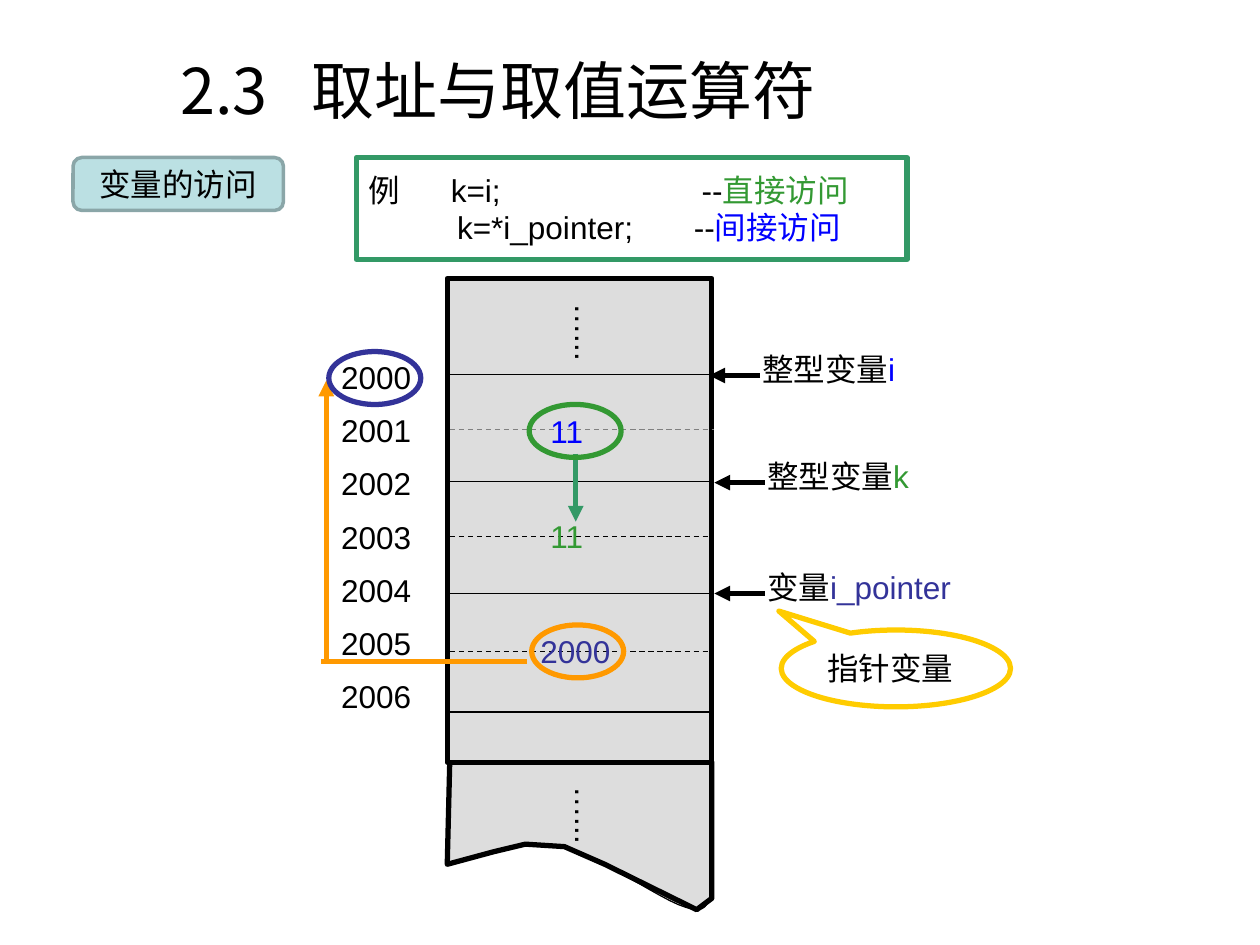
"""Builds a slide on direct and indirect access to variables in memory."""
from dataclasses import dataclass

from lxml.etree import SubElement
from pptx import Presentation
from pptx.dml.color import RGBColor
from pptx.enum.dml import MSO_LINE as Dash
from pptx.enum.shapes import MSO_CONNECTOR as Link, MSO_SHAPE as Kind
from pptx.enum.text import MSO_ANCHOR as Anchor, PP_ALIGN as Align
from pptx.oxml.ns import qn
from pptx.util import Inches, Pt


@dataclass(frozen=True)
class Theme:
    black: str = "000000"
    gray: str = "808080"
    cell: str = "DDDDDD"
    white: str = "FFFFFF"
    blue: str = "0000FF"
    navy: str = "333399"
    green: str = "339933"
    teal: str = "339966"
    orange: str = "FF9900"
    yellow: str = "FFCC00"
    pale: str = "BBE0E3"
    edge: str = "8AA6A8"
    latin: str = "Arial"
    asian: str = "Noto Sans CJK SC"
    head: float = 36
    body: float = 18
    thick: float = 3
    thin: float = 0.75


T = Theme()


@dataclass(frozen=True)
class Run:
    text: str
    color: str = T.black


@dataclass(frozen=True)
class Label:
    x: float
    y: float
    w: float
    h: float
    runs: tuple[Run, ...]
    turn: bool = False


@dataclass(frozen=True)
class Line:
    x1: float
    y1: float
    x2: float
    y2: float
    color: str = T.black
    width: float = T.thin
    dash: bool = False
    arrow: bool = False


@dataclass(frozen=True)
class Form:
    kind: Kind
    x: float
    y: float
    w: float
    h: float
    line: str
    fill: str = ""
    width: float = T.thick


def style(run, color: str, size: float = T.body, face: str = T.latin) -> None:
    font = run.font
    font.name, font.size = face, Pt(size)
    font.color.rgb = RGBColor.from_string(color)
    SubElement(run._r.get_or_add_rPr(), qn("a:ea")).set("typeface", T.asian)


def write(para, runs: tuple[Run, ...], align: Align = Align.LEFT) -> None:
    para.alignment = align
    for item in runs:
        run = para.add_run()
        run.text = item.text
        style(run, item.color)


def set_tabs(para, stops: tuple[float, ...]) -> None:
    tabs = SubElement(para._p.get_or_add_pPr(), qn("a:tabLst"))
    for stop in stops:
        tab = SubElement(tabs, qn("a:tab"))
        tab.set("pos", str(Inches(stop)))
        tab.set("algn", "l")


def paint(shape, line: str, fill: str = "", width: float = T.thick) -> None:
    shape.shadow.inherit = False
    shape.line.color.rgb = RGBColor.from_string(line)
    shape.line.width = Pt(width)
    if fill:
        shape.fill.solid()
        shape.fill.fore_color.rgb = RGBColor.from_string(fill)
    else:
        shape.fill.background()


def add_form(form: Form):
    shape = slide.shapes.add_shape(
        form.kind, *map(Inches, (form.x, form.y, form.w, form.h)))
    paint(shape, form.line, form.fill, form.width)
    shape.text_frame.vertical_anchor = Anchor.MIDDLE
    shape.text_frame.word_wrap = False
    return shape


def add_label(label: Label) -> None:
    box = slide.shapes.add_textbox(
        *map(Inches, (label.x, label.y, label.w, label.h)))
    frame = box.text_frame
    frame.word_wrap = False
    frame.vertical_anchor = Anchor.MIDDLE
    if label.turn:
        frame._txBody.bodyPr.set("vert", "eaVert")
    write(frame.paragraphs[0], label.runs)


def add_line(line: Line) -> None:
    link = slide.shapes.add_connector(
        Link.STRAIGHT, *map(Inches, (line.x1, line.y1, line.x2, line.y2)))
    link.line.color.rgb = RGBColor.from_string(line.color)
    link.line.width = Pt(line.width)
    if line.dash:
        link.line.dash_style = Dash.DASH
    if line.arrow:
        SubElement(link.line._get_or_add_ln(), qn("a:tailEnd")).set("type", "triangle")
    SubElement(link._element.spPr, qn("a:effectLst"))


def add_path(points: list, closed: bool, fill: str, width: float) -> None:
    first, *rest = [(Inches(x), Inches(y)) for x, y in points]
    path = slide.shapes.build_freeform(*first)
    path.add_line_segments(rest, close=closed)
    paint(path.convert_to_shape(), T.black, fill, width)


def curve(a, b, c, d, steps: int = 12) -> list:
    return [tuple((1 - t) ** 3 * p + 3 * t * (1 - t) ** 2 * q
                  + 3 * t * t * (1 - t) * r + t ** 3 * s
                  for p, q, r, s in zip(a, b, c, d))
            for t in (i / steps for i in range(1, steps + 1))]


deck = Presentation()
deck.slide_width, deck.slide_height = Inches(10), Inches(7.5)
slide = deck.slides.add_slide(deck.slide_layouts[5])

title = slide.shapes.title
title.left, title.top, title.width, title.height = map(Inches, (1.33, 0.25, 8.17, 0.92))
title.text_frame.text = "2.3\t取址与取值运算符"
title.text_frame.vertical_anchor = Anchor.MIDDLE
head = title.text_frame.paragraphs[0]
head.alignment = Align.LEFT
set_tabs(head, (1.04,))
style(head.runs[0], T.black, T.head, T.asian)

note = add_form(Form(Kind.OVAL_CALLOUT, 6.2, 5, 1.82, 0.61, T.yellow))
note.adjustments[0], note.adjustments[1] = -0.51, -0.746
write(note.text_frame.paragraphs[0], (Run("指针变量"),))

wave = [(3.55, 6.87), *curve((3.55, 6.87), (3.82, 6.76), (4.1, 6.65), (4.41, 6.71)),
        *curve((4.41, 6.71), (4.73, 6.76), (5.23, 7.14), (5.44, 7.2)),
        *curve((5.44, 7.2), (5.64, 7.27), (5.61, 7.12), (5.65, 7.1))]
add_path(wave, False, "", T.thin)
torn = [(3.57, 6.05), (5.65, 6.05), (5.65, 7.13), (5.53, 7.22), (4.8, 6.86),
        (4.48, 6.72), (4.17, 6.7), (3.92, 6.76), (3.55, 6.86)]
add_path(torn, True, T.cell, T.thick)
add_form(Form(Kind.RECTANGLE, 3.55, 2.21, 2.1, 3.84, T.black, T.cell))

for y, color, dash in ((2.97, T.black, False), (3.41, T.gray, True),
                       (3.82, T.black, False), (4.26, T.black, True),
                       (4.71, T.black, False), (5.17, T.black, True),
                       (5.65, T.black, False)):
    add_line(Line(3.57, y, 5.67, y, color, dash=dash))
for x, end in ((3.55, 6.86), (5.65, 7.11)):
    add_line(Line(x, 6.07, x, end))
for y in (2.31, 6.14):
    add_label(Label(4.4, y, 0.53, 0.59, (Run("…..."),), True))
for row in range(7):
    add_label(Label(2.61, round(2.78 + 0.4217 * row, 2), 0.76, 0.43,
                    (Run(str(2000 + row)),)))

for x, y, w, word, name, color in ((5.95, 2.71, 1.39, "整型变量", "i", T.blue),
                                   (5.99, 3.56, 1.45, "整型变量", "k", T.green),
                                   (5.99, 4.44, 1.76, "变量", "i_pointer", T.navy)):
    add_line(Line(x + 0.08, y + 0.27, x - 0.32, y + 0.27, width=T.thick, arrow=True))
    add_label(Label(x, y, w, 0.43, (Run(word), Run(name, color))))

for x, y, w, h, text, color in ((4.27, 3.22, 0.48, 0.4, "11", T.blue),
                                (4.27, 4.05, 0.48, 0.4, "11", T.green),
                                (4.19, 4.95, 0.76, 0.43, "2000", T.navy)):
    add_label(Label(x, y, w, h, (Run(text, color),)))

for line in (Line(4.57, 3.6, 4.57, 4.14, T.teal, T.thick, arrow=True),
             Line(4.18, 5.25, 2.55, 5.25, T.orange, T.thick),
             Line(2.59, 5.25, 2.59, 3.02, T.orange, T.thick, arrow=True)):
    add_line(line)
for x, y, color in ((2.61, 2.79, T.navy), (4.22, 4.96, T.orange), (4.2, 3.21, T.green)):
    add_form(Form(Kind.OVAL, x, y, 0.73, 0.42, color))

case = add_form(Form(Kind.RECTANGLE, 2.83, 1.25, 4.37, 0.81, T.teal, T.white)).text_frame
case.word_wrap = True
case.add_paragraph()
rows = (("例\tk=i;\t--", "直接访问", T.green, (0.65, 2.64)),
        ("\tk=*i_pointer;\t--", "间接访问", T.blue, (0.7, 2.58)))
for para, (code, way, color, stops) in zip(case.paragraphs, rows):
    write(para, (Run(code), Run(way, color)))
    para.line_spacing = Pt(21.5)
    set_tabs(para, stops)

topic = add_form(Form(Kind.ROUNDED_RECTANGLE, 0.58, 1.25, 1.67, 0.42, T.edge, T.pale, 2))
write(topic.text_frame.paragraphs[0], (Run("变量的访问"),), Align.CENTER)

deck.save("out.pptx")
